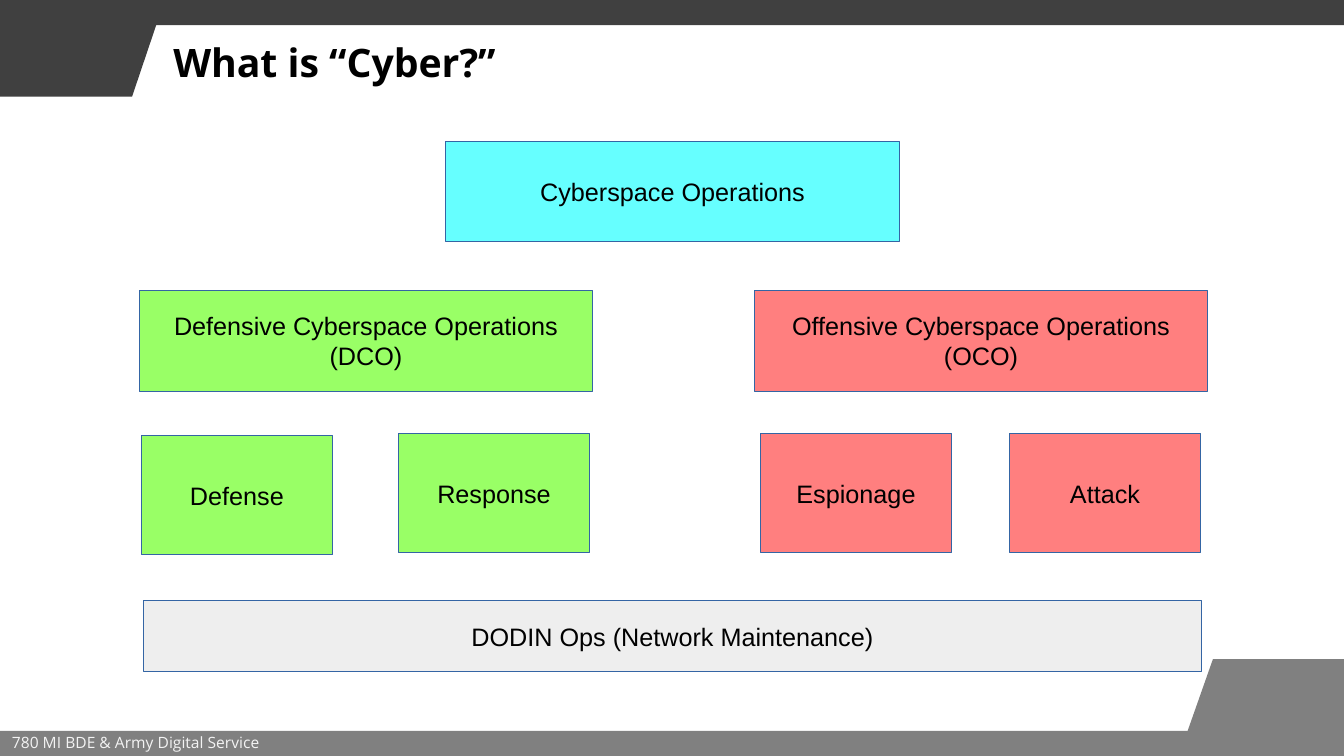
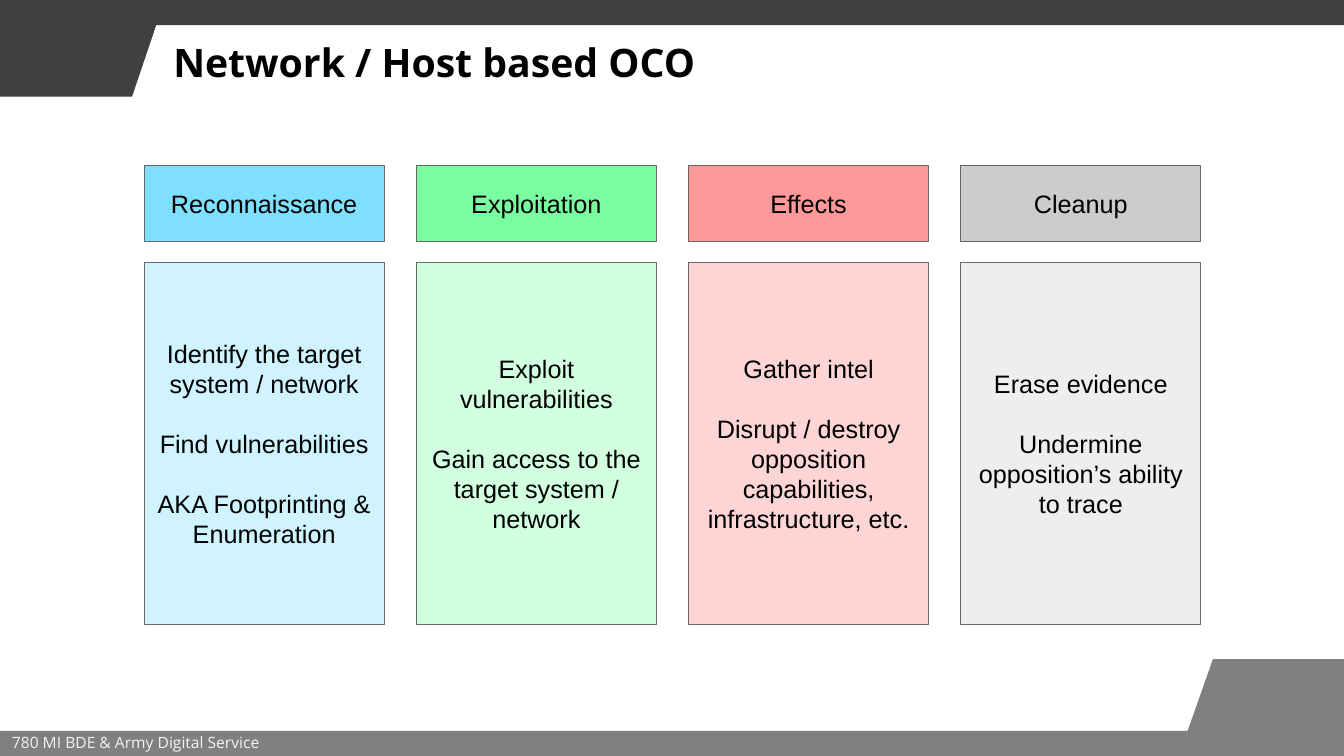
from pptx import Presentation
from pptx.dml.color import RGBColor
from pptx.enum.shapes import MSO_SHAPE
from pptx.enum.text import MSO_ANCHOR, PP_ALIGN
from pptx.util import Inches, Pt

RECTANGLE = MSO_SHAPE.RECTANGLE
TOP, MIDDLE = MSO_ANCHOR.TOP, MSO_ANCHOR.MIDDLE
LEFT, CENTER = PP_ALIGN.LEFT, PP_ALIGN.CENTER

COLORS = {
    "text": "000000",
    "top band": "404040",
    "bottom band": "808080",
    "footer": "F3F3F3",
    "blue line": "3465A4",
    "gray line": "666666",
    "cyan": "66FFFF",
    "green": "99FF66",
    "red": "FF7F7F",
    "light gray": "EEEEEE",
    "recon": "7EDFFE",
    "recon light": "CFF3FF",
    "exploit": "7AFDA0",
    "exploit light": "D2FFDF",
    "effects": "FF9999",
    "effects light": "FDD5D5",
    "cleanup": "CCCCCC",
}
COLORS = {name: RGBColor.from_string(value) for name, value in COLORS.items()}

TITLES = ["What is “Cyber?”", "Network / Host based OCO"]
FOOTER = "780 MI BDE & Army Digital Service"
BANDS = {
    "bottom band": [(0, 7.5), (0, 7.25), (11.78, 7.25), (12.03, 6.54),
                    (13.33, 6.54), (13.33, 7.5)],
    "top band": [(0, 0), (13.33, 0), (13.33, 0.25), (1.55, 0.25),
                 (1.31, 0.96), (0, 0.96)],
}


def write_text(shape, text, size, font="Open Sans", color="text", bold=False,
               align=LEFT, anchor=MIDDLE, inset=0.2, gap=0, spacing=None):
    """Fill a shape with text, one paragraph a line, with a gap in points between them."""
    frame = shape.text_frame
    frame.word_wrap = True
    frame.vertical_anchor = anchor
    frame.margin_top = frame.margin_bottom = Inches(inset)
    frame.text = text
    for number, paragraph in enumerate(frame.paragraphs):
        paragraph.alignment = align
        paragraph.line_spacing = spacing
        if number and gap:
            paragraph.space_before = Pt(gap)
        for run in paragraph.runs:
            run.font.name = font
            run.font.size = Pt(size)
            run.font.bold = bold
            run.font.color.rgb = COLORS[color]


def add_box(slide, left, top, width, height, text, fill, line, gap=0):
    box = slide.shapes.add_shape(
        RECTANGLE, Inches(left), Inches(top), Inches(width), Inches(height))
    box.shadow.inherit = False
    box.fill.solid()
    box.fill.fore_color.rgb = COLORS[fill]
    box.line.color.rgb = COLORS[line]
    box.line.width = Pt(0)
    write_text(box, text, 18, "Arial", align=CENTER, gap=gap)


presentation = Presentation()
presentation.slide_width = Inches(13.33)
presentation.slide_height = Inches(7.5)
blank_layout = presentation.slide_layouts[6]

# Bands, footer and title shared by all slides
for title in TITLES:
    slide = presentation.slides.add_slide(blank_layout)
    for color, points in BANDS.items():
        corners = [(Inches(x), Inches(y)) for x, y in points]
        builder = slide.shapes.build_freeform(*corners[0])
        builder.add_line_segments(corners[1:])
        band = builder.convert_to_shape()
        band.shadow.inherit = False
        band.fill.solid()
        band.fill.fore_color.rgb = COLORS[color]
        band.line.fill.background()
    footer_box = slide.shapes.add_textbox(
        Inches(0.02), Inches(7.08), Inches(4.24), Inches(0.6))
    write_text(footer_box, FOOTER, 11.1, color="footer", spacing=0.9)
    title_box = slide.shapes.add_textbox(
        Inches(1.62), Inches(0.33), Inches(11.21), Inches(0.75))
    write_text(title_box, title, 28, bold=True, anchor=TOP, inset=0.05)

cyber_slide, phases_slide = presentation.slides

# Tree of cyberspace operations
OPERATIONS = [
    (1.4, 4.32, 1.9, 1.18, "Defense", "green"),
    (3.95, 4.3, 1.9, 1.18, "Response", "green"),
    (1.38, 2.88, 4.5, 1, "Defensive Cyberspace Operations\n(DCO)", "green"),
    (7.54, 4.3, 1.9, 1.18, "Espionage", "red"),
    (10.01, 4.3, 1.9, 1.18, "Attack", "red"),
    (7.48, 2.88, 4.5, 1, "Offensive Cyberspace Operations\n(OCO)", "red"),
    (4.42, 1.4, 4.5, 1, "Cyberspace Operations", "cyan"),
    (1.42, 5.96, 10.5, 0.7, "DODIN Ops (Network Maintenance)", "light gray"),
]
for left, top, width, height, text, fill in OPERATIONS:
    add_box(cyber_slide, left, top, width, height, text, fill, "blue line")

# Four phases, each a heading above its details
PHASES = [
    ("Reconnaissance", "recon", "recon light",
     "Identify the target system / network\nFind vulnerabilities\n"
     "AKA Footprinting & Enumeration"),
    ("Exploitation", "exploit", "exploit light",
     "Exploit vulnerabilities\nGain access to the target system / network"),
    ("Effects", "effects", "effects light",
     "Gather intel\n"
     "Disrupt / destroy opposition capabilities, infrastructure, etc."),
    ("Cleanup", "cleanup", "light gray",
     "Erase evidence\nUndermine opposition’s ability to trace"),
]
PHASE_LEFT, PHASE_STEP, PHASE_WIDTH = 1.43, 2.7, 2.38
for column, (heading, heading_fill, details_fill, details) in enumerate(PHASES):
    left = PHASE_LEFT + column * PHASE_STEP
    add_box(phases_slide, left, 2.6, PHASE_WIDTH, 3.6, details, details_fill,
            "gray line", gap=21)
    add_box(phases_slide, left, 1.64, PHASE_WIDTH, 0.76, heading, heading_fill,
            "gray line")

presentation.save("out.pptx")
